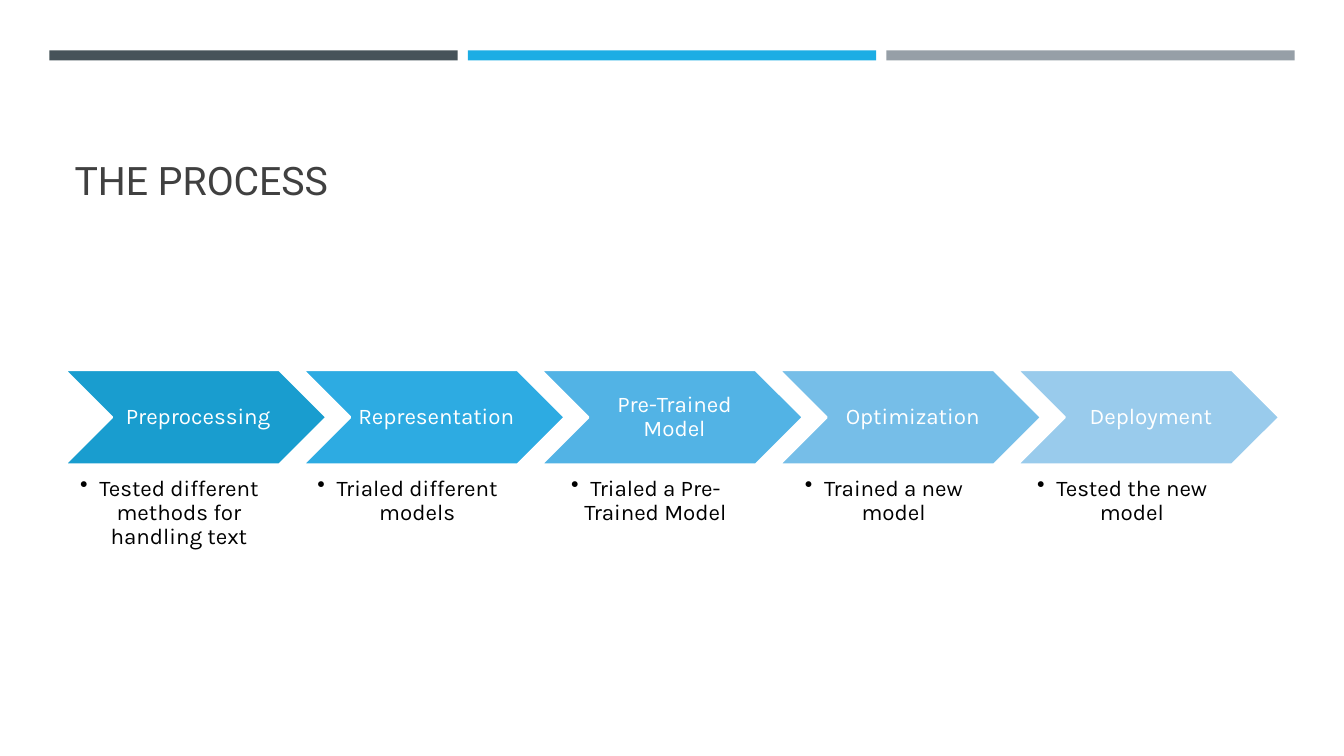
from dataclasses import dataclass

from lxml.etree import SubElement
from pptx import Presentation
from pptx.dml.color import RGBColor as RGB
from pptx.enum.shapes import MSO_SHAPE as SHAPE
from pptx.enum.text import MSO_ANCHOR as ANCHOR, PP_ALIGN as ALIGN
from pptx.oxml.ns import qn
from pptx.util import Inches, Pt

COLORS = {
    "white": "FFFFFF",
    "black": "000000",
    "title": "404040",
    "bar1": "465359",
    "bar2": "1CADE4",
    "bar3": "969FA7",
    "step1": "199DCF",
    "step2": "2DABE2",
    "step3": "52B3E5",
    "step4": "76BEE8",
    "step5": "99CBEC",
}

SLIDE_W, SLIDE_H = 13.33, 7.5
BAR_LEFT, BAR_TOP, BAR_W, BAR_H, BAR_GAP = 0.49, 0.5, 4.05, 0.1, 0.1
LEFT, WIDTH = 0.64, 12.05
STEP_W, STEP_H, STEP_TOP = 2.6, 0.94, 3.67
NOTE_W, NOTE_H, NOTE_TOP = 2.08, 0.69, 4.73
INDENT = 0.19


@dataclass
class Step:
    name: str
    note: str
    color: str


STEPS = [
    Step("Preprocessing", "Tested different methods for handling text", "step1"),
    Step("Representation", "Trialed different models", "step2"),
    Step("Pre-Trained Model", "Trialed a Pre-Trained Model", "step3"),
    Step("Optimization", "Trained a new model", "step4"),
    Step("Deployment", "Tested the new model", "step5"),
]
PITCH = (WIDTH - STEP_W) / (len(STEPS) - 1)


def rgb(name: str) -> RGB:
    return RGB.from_string(COLORS[name])


def apply(target, values: dict) -> None:
    for key, value in values.items():
        setattr(target, key, value)


def box(x: float, y: float, w: float, h: float) -> tuple:
    return tuple(Inches(v) for v in (x, y, w, h))


def margins(left: float, rest: float) -> dict:
    return {
        "margin_left": Inches(left),
        "margin_top": Inches(rest),
        "margin_right": Inches(rest),
        "margin_bottom": Inches(rest),
    }


def write(tf, text: str, font: str, size: int, color: str, para: dict, frame: dict):
    apply(tf, {"word_wrap": True, **frame})
    p = tf.paragraphs[0]
    apply(p, para)
    r = p.add_run()
    r.text = text
    apply(r.font, {"name": font, "size": Pt(size)})
    r.font.color.rgb = rgb(color)
    return p


def add_filled(s, kind: SHAPE, place: tuple, color: str):
    sp = s.shapes.add_shape(kind, *place)
    sp.shadow.inherit = False
    sp.fill.solid()
    sp.fill.fore_color.rgb = rgb(color)
    sp.line.fill.background()
    return sp


def add_bullet(p) -> None:
    p_pr = p._p.get_or_add_pPr()
    p_pr.set("marL", str(Inches(INDENT)))
    p_pr.set("indent", str(-Inches(INDENT)))
    SubElement(p_pr, qn("a:buChar")).set("char", "•")


def add_step(s, step: Step, x: float) -> None:
    para = {"alignment": ALIGN.CENTER, "line_spacing": 0.9}
    sp = add_filled(s, SHAPE.CHEVRON, box(x, STEP_TOP, STEP_W, STEP_H), step.color)
    sp.line.color.rgb = rgb("white")
    sp.line.width = Pt(1.75)
    write(sp.text_frame, step.name, "Karla", 16, "white", para,
          {"vertical_anchor": ANCHOR.MIDDLE, **margins(0.07, 0.02)})
    note = s.shapes.add_textbox(*box(x, NOTE_TOP, NOTE_W, NOTE_H))
    p = write(note.text_frame, step.note, "Karla", 16, "black", para, margins(0, 0))
    add_bullet(p)


def main() -> None:
    prs = Presentation()
    apply(prs, {"slide_width": Inches(SLIDE_W), "slide_height": Inches(SLIDE_H)})
    s = prs.slides.add_slide(prs.slide_layouts[5])

    for i, color in enumerate(("bar1", "bar2", "bar3")):
        x = BAR_LEFT + i * (BAR_W + BAR_GAP)
        add_filled(s, SHAPE.RECTANGLE, box(x, BAR_TOP, BAR_W, BAR_H), color)

    title = s.shapes.title
    apply(title, dict(zip(("left", "top", "width", "height"),
                          box(LEFT, 0.77, WIDTH, 1.3))))
    write(title.text_frame, "THE PROCESS", "Roboto", 28, "title",
          {"alignment": ALIGN.LEFT}, {"vertical_anchor": ANCHOR.BOTTOM})

    for i, step in enumerate(STEPS):
        add_step(s, step, LEFT + i * PITCH)

    prs.save("out.pptx")


if __name__ == "__main__":
    main()
